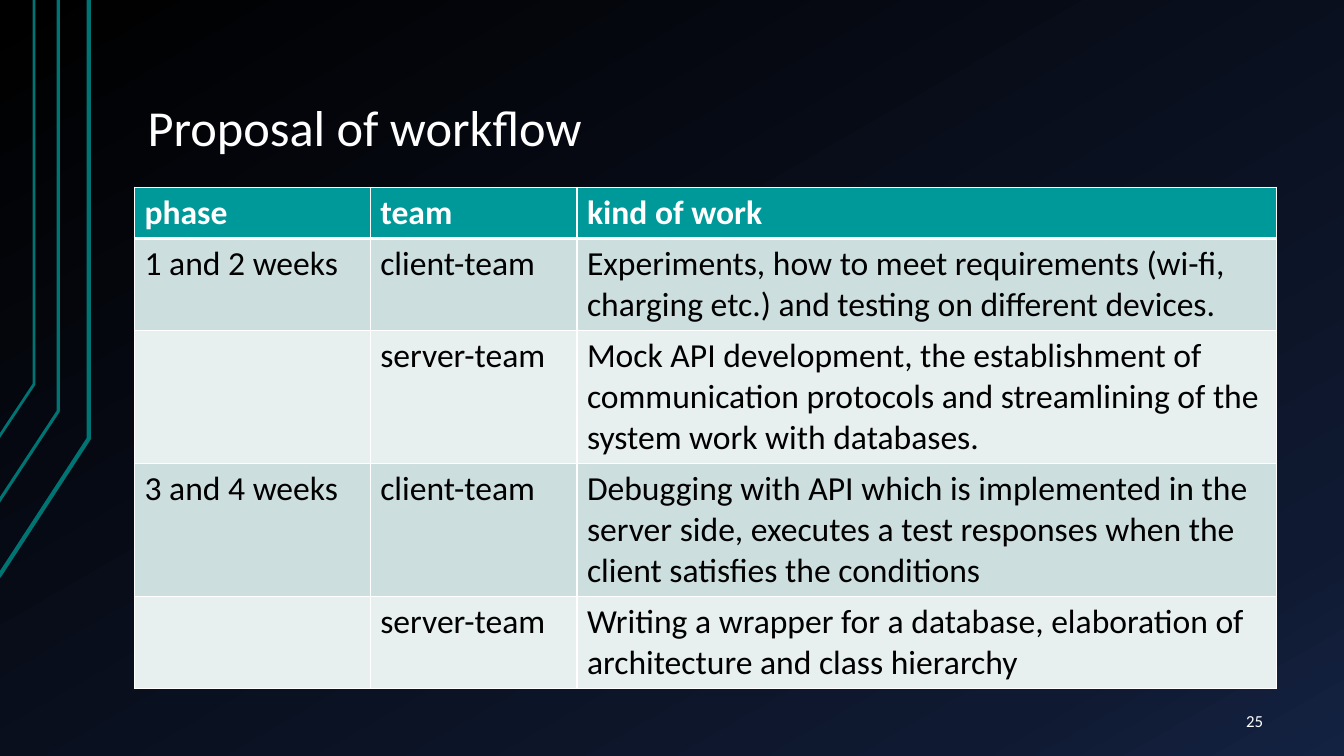
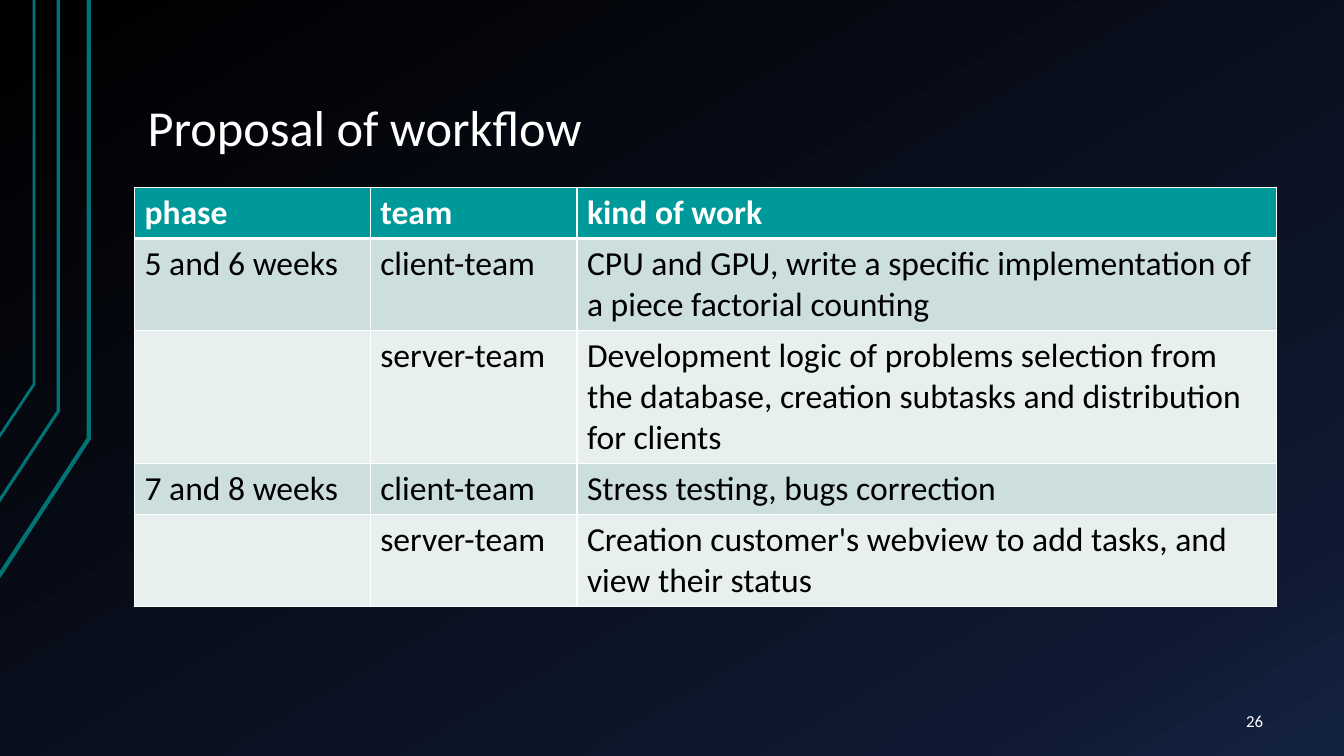
"""Build the two workflow proposal slides."""
from copy import deepcopy
from dataclasses import dataclass

from lxml import etree
from pptx import Presentation
from pptx import util as u
from pptx.dml.color import RGBColor
from pptx.enum import text
from pptx.oxml import ns

COLORS = {
    "white": "FFFFFF",
    "black": "000000",
    "navy": "0F1931",
    "blue": "142242",
    "line": "007373",
    "header": "009999",
    "odd": "CCDEDE",
    "even": "E7EFEF",
}
FONT = "Calibri"
TITLE = "Proposal of workflow"
HEADER = ("phase", "team", "kind of work")
LEFT, WIDTH = 3.39, 28.78
COL_WIDTHS = (5.94, 5.21, 17.63)
LINE_HEIGHT, CELL_PADDING = 1.03, 0.26
BACKGROUND_STOPS = ((0, "black"), (0.85, "navy"), (1, "blue"))


@dataclass(frozen=True)
class Track:
    points: tuple[tuple[float, float], ...]
    weight: float


@dataclass(frozen=True)
class Label:
    left: float
    top: float
    width: float
    height: float
    size: float
    anchor: text.MSO_ANCHOR
    align: text.PP_ALIGN
    spacing: float


@dataclass(frozen=True)
class Task:
    phase: str
    team: str
    work: str
    lines: int


@dataclass(frozen=True)
class Plan:
    number: int
    tasks: tuple[Task, ...]


TRACKS = (
    Track(((-0.03, 14.53), (2.24, 11.05), (2.24, 0)), 3),
    Track(((-0.05, 12.67), (1.47, 10.36), (1.47, 0)), 2.25),
    Track(((-0.03, 11.02), (0.86, 9.68), (0.86, 0)), 2),
)
TITLE_LABEL = Label(LEFT, 0.76, WIDTH, 3.4, 36,
                    text.MSO_ANCHOR.BOTTOM, text.PP_ALIGN.LEFT, 0.9)
NUMBER_LABEL = Label(29.34, 17.65, 2.82, 1.02, 12,
                     text.MSO_ANCHOR.MIDDLE, text.PP_ALIGN.RIGHT, 1.0)
PLANS = (
    Plan(25, (
        Task("1 and 2 weeks", "client-team",
             "Experiments, how to meet requirements (wi-fi, charging etc.) "
             "and testing on different devices.", 2),
        Task("", "server-team",
             "Mock API development, the establishment of communication protocols "
             "and streamlining of the system work with databases.", 3),
        Task("3 and 4 weeks", "client-team",
             "Debugging with API which is implemented in the server side, executes "
             "a test responses when the client satisfies the conditions", 3),
        Task("", "server-team",
             "Writing a wrapper for a database, elaboration of architecture "
             "and class hierarchy", 2),
    )),
    Plan(26, (
        Task("5 and 6 weeks", "client-team",
             "CPU and GPU, write a specific implementation of a piece "
             "factorial counting", 2),
        Task("", "server-team",
             "Development logic of problems selection from the database, "
             "creation subtasks and distribution for clients", 3),
        Task("7 and 8 weeks", "client-team", "Stress testing, bugs correction", 1),
        Task("", "server-team",
             "Creation customer's webview to add tasks, and view their status", 2),
    )),
)


def rgb(name: str) -> RGBColor:
    return RGBColor.from_string(COLORS[name])


def format_runs(p, size: float, color: str, bold: bool = False) -> None:
    for r in p.runs:
        r.font.name = FONT
        r.font.size = u.Pt(size)
        r.font.bold = bold
        r.font.color.rgb = rgb(color)


def set_background(master) -> None:
    fill = master.background.fill
    fill.gradient()
    fill.gradient_angle = 300
    stops = master.element.find(".//" + ns.qn("a:gsLst"))
    stops.append(deepcopy(stops[-1]))
    for stop, (position, color) in zip(fill.gradient_stops, BACKGROUND_STOPS):
        stop.position = position
        stop.color.rgb = rgb(color)


def add_track(s, track: Track) -> None:
    points = [(u.Cm(x), u.Cm(y)) for x, y in track.points]
    builder = s.shapes.build_freeform(*points[0])
    builder.add_line_segments(points[1:], close=False)
    sp = builder.convert_to_shape()
    sp.shadow.inherit = False
    sp.fill.background()
    sp.line.color.rgb = rgb("line")
    sp.line.width = u.Pt(track.weight)


def add_label(s, label: Label, content: str) -> None:
    sp = s.shapes.add_textbox(u.Cm(label.left), u.Cm(label.top),
                              u.Cm(label.width), u.Cm(label.height))
    tf = sp.text_frame
    tf.word_wrap = True
    tf.vertical_anchor = label.anchor
    tf.margin_left = tf.margin_right = u.Cm(0.33)
    tf.margin_top = tf.margin_bottom = u.Cm(0.18)
    p = tf.paragraphs[0]
    p.text = content
    p.alignment = label.align
    p.line_spacing = label.spacing
    format_runs(p, label.size, "white")


def set_borders(cell, top: float, bottom: float) -> None:
    props = cell._tc.get_or_add_tcPr()
    sides = (("lnL", 1), ("lnR", 1), ("lnT", top), ("lnB", bottom))
    for i, (side, weight) in enumerate(sides):
        ln = etree.Element(ns.qn(f"a:{side}"), w=str(u.Pt(weight)))
        fill = etree.SubElement(ln, ns.qn("a:solidFill"))
        etree.SubElement(fill, ns.qn("a:srgbClr"), val=COLORS["white"])
        props.insert(i, ln)


def add_task_table(s, tasks: tuple[Task, ...]) -> None:
    rows = [HEADER, *((t.phase, t.team, t.work) for t in tasks)]
    heights = [CELL_PADDING + LINE_HEIGHT * n for n in (1, *(t.lines for t in tasks))]
    table = s.shapes.add_table(len(rows), len(HEADER), u.Cm(LEFT), u.Cm(4.72),
                               u.Cm(WIDTH), u.Cm(sum(heights))).table
    for column, width in zip(table.columns, COL_WIDTHS):
        column.width = u.Cm(width)
    for i, (values, height) in enumerate(zip(rows, heights)):
        table.rows[i].height = u.Cm(height)
        is_header = i == 0
        fill = "header" if is_header else ("even", "odd")[i % 2]
        for j, value in enumerate(values):
            cell = table.cell(i, j)
            cell.fill.solid()
            cell.fill.fore_color.rgb = rgb(fill)
            set_borders(cell, 3 if i == 1 else 1, 3 if is_header else 1)
            p = cell.text_frame.paragraphs[0]
            p.text = value
            format_runs(p, 24, "white" if is_header else "black", is_header)


def add_plan_slide(prs, plan: Plan) -> None:
    s = prs.slides.add_slide(prs.slide_layouts[6])
    for track in TRACKS:
        add_track(s, track)
    add_label(s, TITLE_LABEL, TITLE)
    add_task_table(s, plan.tasks)
    add_label(s, NUMBER_LABEL, str(plan.number))


def main() -> None:
    prs = Presentation()
    prs.slide_width, prs.slide_height = u.Cm(33.87), u.Cm(19.05)
    set_background(prs.slide_master)
    for plan in PLANS:
        add_plan_slide(prs, plan)
    prs.save("out.pptx")


if __name__ == "__main__":
    main()
